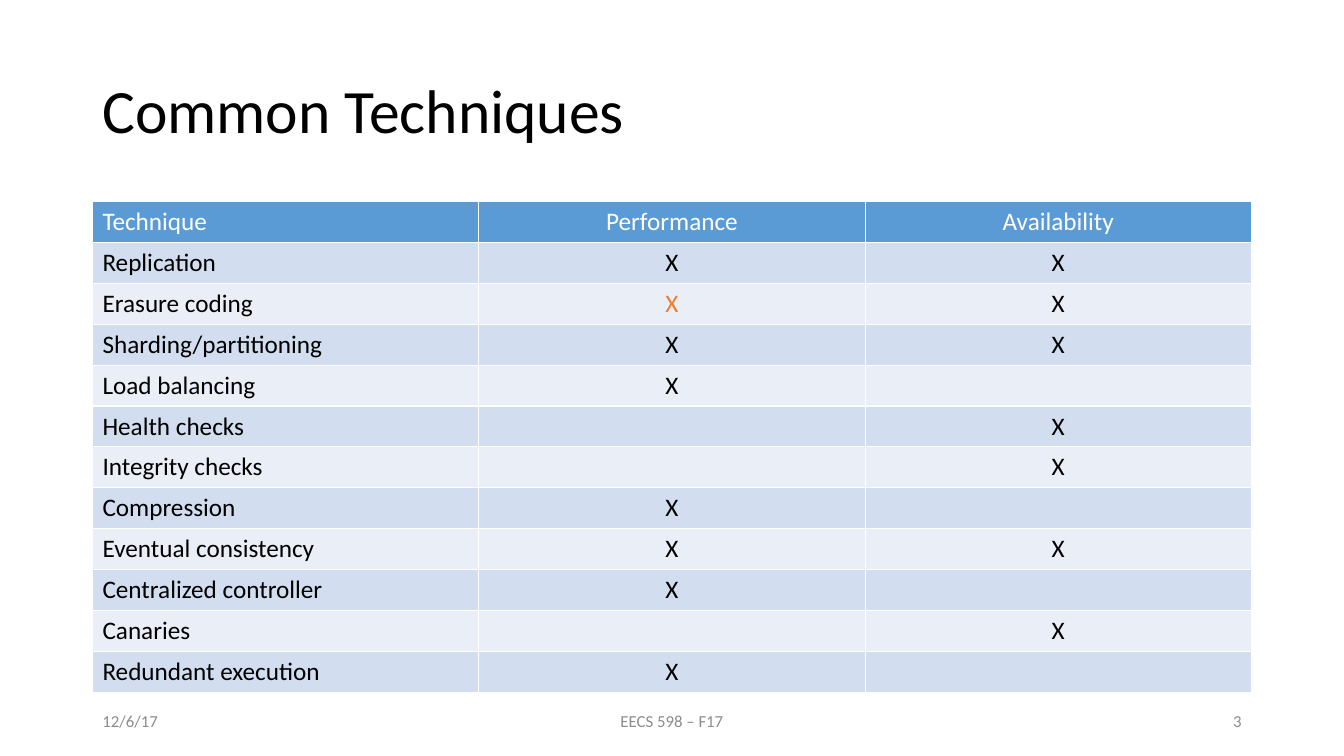
"""Build the slide that compares common techniques in a table."""
from pptx import Presentation
from pptx.dml.color import RGBColor
from pptx.enum import text as t
from pptx.util import Cm, Pt

BLACK = RGBColor(0, 0, 0)
WHITE = RGBColor(255, 255, 255)
GREY = RGBColor(0x8C, 0x8C, 0x8C)
ORANGE = RGBColor(0xED, 0x7D, 0x31)
BLUE = RGBColor(0x5B, 0x9B, 0xD5)
BANDS = [RGBColor(0xEA, 0xEF, 0xF7), RGBColor(0xD2, 0xDE, 0xEF)]
LEFT, MID, RIGHT = t.PP_ALIGN.LEFT, t.PP_ALIGN.CENTER, t.PP_ALIGN.RIGHT


def write(frame, words, size, color, align):
    par = frame.paragraphs[0]
    par.alignment = align
    run = par.add_run()
    run.text = words
    style = {"name": "Calibri", "size": Pt(size), "bold": False}
    for key, value in style.items():
        setattr(run.font, key, value)
    run.font.color.rgb = color
    return par


def label(box, words, size, color, align):
    frame = slide.shapes.add_textbox(*map(Cm, box)).text_frame
    frame.word_wrap = True
    frame.vertical_anchor = t.MSO_ANCHOR.MIDDLE
    return write(frame, words, size, color, align)


deck = Presentation()
deck.slide_width, deck.slide_height = Cm(33.87), Cm(19.05)
slide = deck.slides.add_slide(deck.slide_layouts[6])

title = label((2.33, 1.01, 29.21, 3.68), "Common Techniques", 44, BLACK, LEFT)
title.line_spacing = 0.9

rows = [
    ("Technique", "Performance", "Availability"),
    ("Replication", "X", "X"),
    ("Erasure coding", "X", "X"),
    ("Sharding/partitioning", "X", "X"),
    ("Load balancing", "X", ""),
    ("Health checks", "", "X"),
    ("Integrity checks", "", "X"),
    ("Compression", "X", ""),
    ("Eventual consistency", "X", "X"),
    ("Centralized controller", "X", ""),
    ("Canaries", "", "X"),
    ("Redundant execution", "X", ""),
]
high = 1.03
table = slide.shapes.add_table(
    len(rows), 3, Cm(2.33), Cm(5.08), Cm(29.21), Cm(high * len(rows))
).table
for r, row in enumerate(rows):
    table.rows[r].height = Cm(high)
    for c, words in enumerate(row):
        cell = table.cell(r, c)
        cell.fill.solid()
        cell.fill.fore_color.rgb = BANDS[r % 2] if r else BLUE
        color = BLACK if r else WHITE
        if (row[0], c) == ("Erasure coding", 1):
            color = ORANGE
        if words:
            write(cell.text_frame, words, 18, color, MID if c else LEFT)

footer = [
    (2.33, 7.62, "12/6/17", LEFT),
    (11.22, 11.43, "EECS 598 – F17", MID),
    (23.92, 7.62, "3", RIGHT),
]
for left, wide, words, align in footer:
    label((left, 17.66, wide, 1.01), words, 12, GREY, align)

deck.save("out.pptx")
